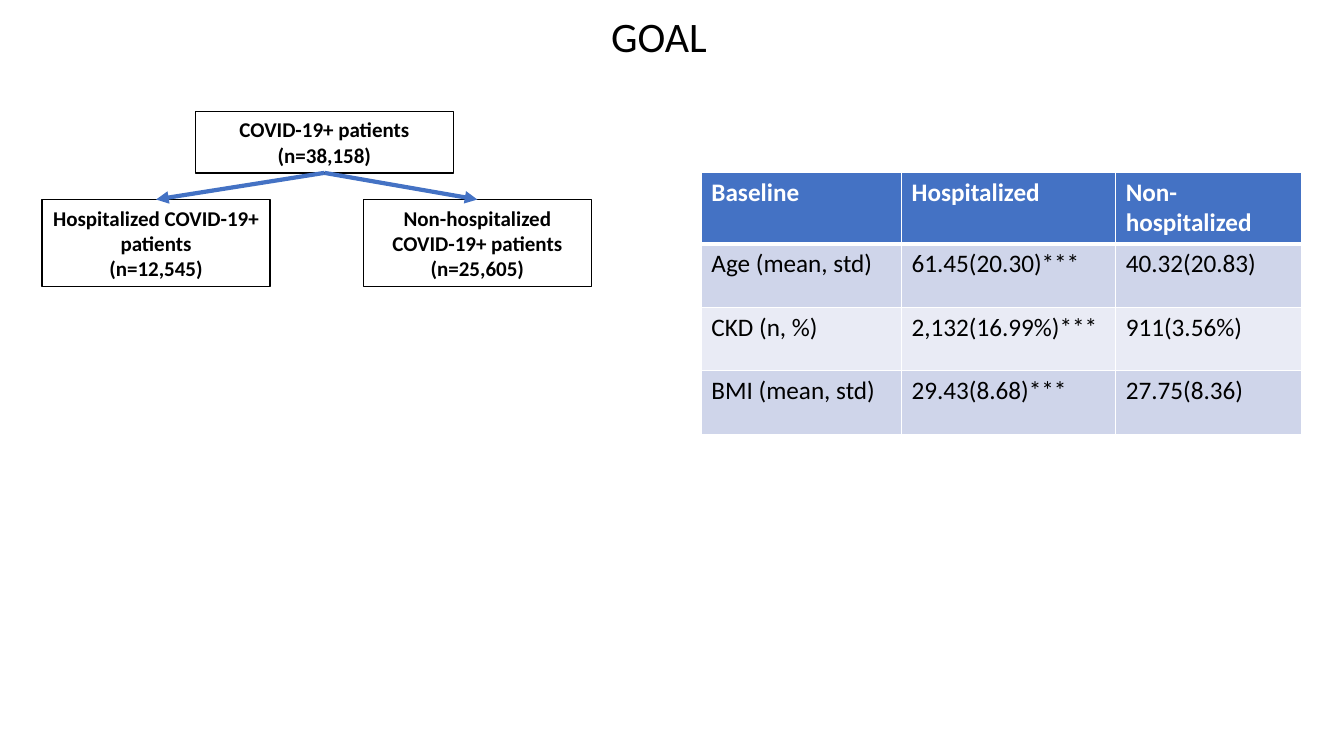
from lxml.etree import SubElement
from pptx import Presentation
from pptx.dml.color import RGBColor
from pptx.enum.shapes import MSO_CONNECTOR, MSO_SHAPE
from pptx.enum.text import MSO_ANCHOR, PP_ALIGN
from pptx.oxml import parse_xml
from pptx.oxml.ns import nsdecls, qn
from pptx.util import Pt

BLACK, WHITE, BLUE = "000000", "FFFFFF", "4472C4"
BAND_FILLS = ["CFD5EA", "E9EBF5"]
BASELINE_ROWS = [
    ["Baseline", "Hospitalized", "Non-hospitalized"],
    ["Age (mean, std)", "61.45(20.30)***", "40.32(20.83)"],
    ["CKD (n, %)", "2,132(16.99%)***", "911(3.56%)"],
    ["BMI (mean, std)", "29.43(8.68)***", "27.75(8.36)"],
]


def color(hex_string):
    """Turn a hex string into a colour."""
    return RGBColor.from_string(hex_string)


def format_text(text_frame, size, hex_string, bold=False, alignment=PP_ALIGN.LEFT):
    """Format every run of a text frame alike."""
    for paragraph in text_frame.paragraphs:
        paragraph.alignment = alignment
        for run in paragraph.runs:
            run.font.name = "Calibri"
            run.font.size = Pt(size)
            run.font.bold = bold
            run.font.color.rgb = color(hex_string)


def place_title(slide, left, top, width, height):
    """Place the slide title in its box."""
    title = slide.shapes.title
    title.left, title.top, title.width, title.height = map(Pt, (left, top, width, height))
    title.text_frame.text = "GOAL"
    title.text_frame.word_wrap = False
    title.text_frame.vertical_anchor = MSO_ANCHOR.TOP
    format_text(title.text_frame, 30, BLACK, alignment=PP_ALIGN.CENTER)


def add_group_box(slide, text, left, top, width, height):
    """Add one outlined box that names a patient group."""
    box = slide.shapes.add_shape(MSO_SHAPE.RECTANGLE, Pt(left), Pt(top), Pt(width), Pt(height))
    box.shadow.inherit = False
    box.fill.solid()
    box.fill.fore_color.rgb = color(WHITE)
    box.line.color.rgb = color(BLACK)
    box.line.width = Pt(1)
    box.text_frame.word_wrap = True
    box.text_frame.vertical_anchor = MSO_ANCHOR.MIDDLE
    box.text_frame.text = text
    format_text(box.text_frame, 15, BLACK, True, PP_ALIGN.CENTER)
    return box


def add_arrow(slide, source, target):
    """Connect the bottom of one box to the top of another."""
    arrow = slide.shapes.add_connector(MSO_CONNECTOR.STRAIGHT, 0, 0, 0, 0)
    arrow.begin_connect(source, 2)
    arrow.end_connect(target, 0)
    arrow.line.color.rgb = color(BLUE)
    arrow.line.width = Pt(3)
    SubElement(arrow.line._get_or_add_ln(), qn("a:tailEnd"), type="triangle")
    SubElement(arrow._element.spPr, qn("a:effectLst"))


def add_patient_tree(slide, left, top, width, height):
    """Add all patients above their two subgroups."""
    child_width, child_height = 163, 62
    child_top = top + height - child_height
    parent = add_group_box(slide, "COVID-19+ patients\n(n=38,158)", left + 109.5, top, 184.5, 44)
    children = [
        ("Hospitalized COVID-19+ patients\n(n=12,545)", left),
        ("Non-hospitalized COVID-19+ patients\n(n=25,605)", left + width - child_width),
    ]
    for text, child_left in children:
        child = add_group_box(slide, text, child_left, child_top, child_width, child_height)
        add_arrow(slide, parent, child)


def set_borders(cell, top_width, bottom_width):
    """Give a cell white borders."""
    widths = {"lnL": 1, "lnR": 1, "lnT": top_width, "lnB": bottom_width}
    for position, (tag, width) in enumerate(widths.items()):
        border = parse_xml(
            f'<a:{tag} {nsdecls("a")} w="{Pt(width)}"><a:solidFill>'
            f'<a:srgbClr val="{WHITE}"/></a:solidFill></a:{tag}>'
        )
        cell._tc.get_or_add_tcPr().insert(position, border)


def add_baseline_table(slide, left, top, width, height):
    """Add the table that compares baseline values."""
    header_height = 51
    row_height = (height - header_height) / (len(BASELINE_ROWS) - 1)
    column_widths = [143, 153, width - 296]
    table = slide.shapes.add_table(
        len(BASELINE_ROWS), len(column_widths), Pt(left), Pt(top), Pt(width), Pt(height)
    ).table
    for column, column_width in zip(table.columns, column_widths):
        column.width = Pt(column_width)
    for row_index, values in enumerate(BASELINE_ROWS):
        is_header = row_index == 0
        table.rows[row_index].height = Pt(header_height if is_header else row_height)
        for column_index, value in enumerate(values):
            cell = table.cell(row_index, column_index)
            cell.text_frame.text = value
            cell.fill.solid()
            cell.fill.fore_color.rgb = color(BLUE if is_header else BAND_FILLS[(row_index - 1) % 2])
            format_text(cell.text_frame, 18, WHITE if is_header else BLACK, is_header)
            set_borders(cell, 3 if row_index == 1 else 1, 3 if is_header else 1)


def build_goal_slide(presentation):
    """Build the slide with the patient tree and the baseline table."""
    slide = presentation.slides.add_slide(presentation.slide_layouts[5])
    place_title(slide, 429, 3.6, 83.5, 44)
    add_patient_tree(slide, 30, 79.5, 392.5, 125)
    add_baseline_table(slide, 501, 123, 428.5, 187)


presentation = Presentation()
presentation.slide_width = Pt(960)
presentation.slide_height = Pt(540)
build_goal_slide(presentation)
presentation.save("out.pptx")
